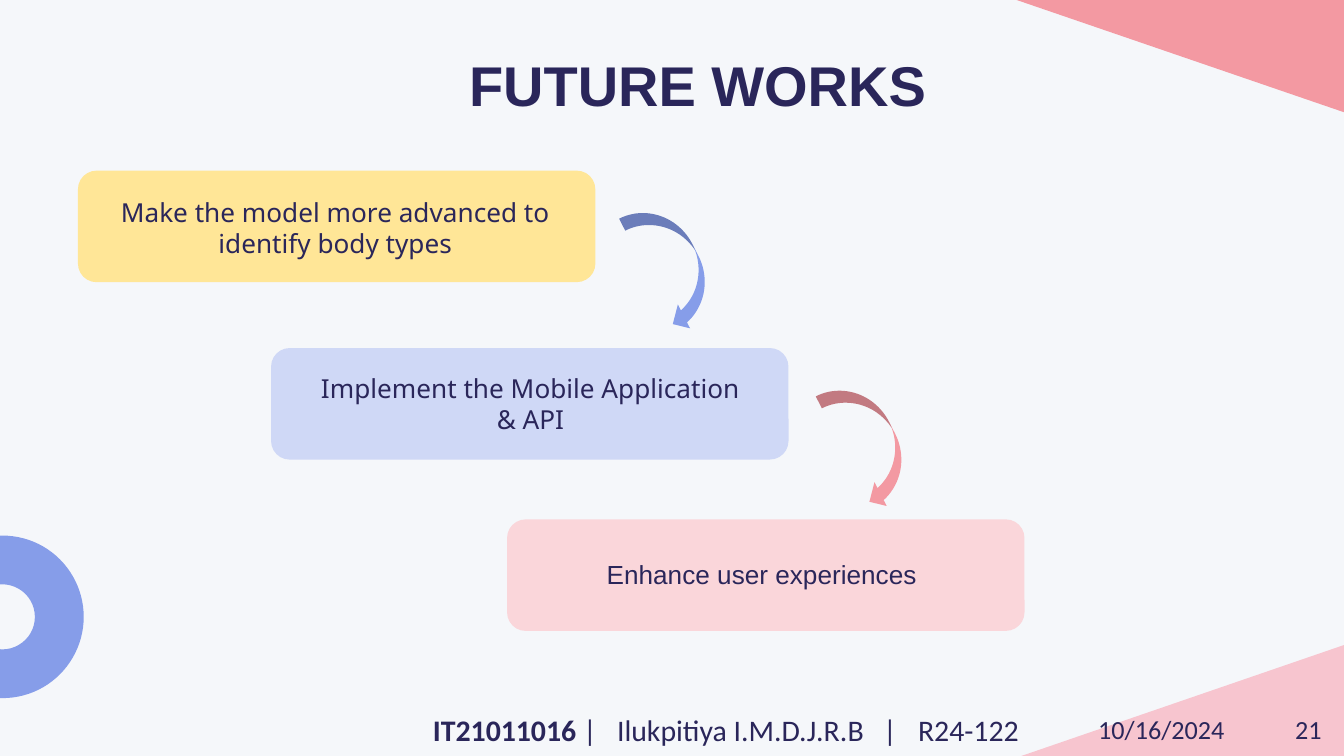
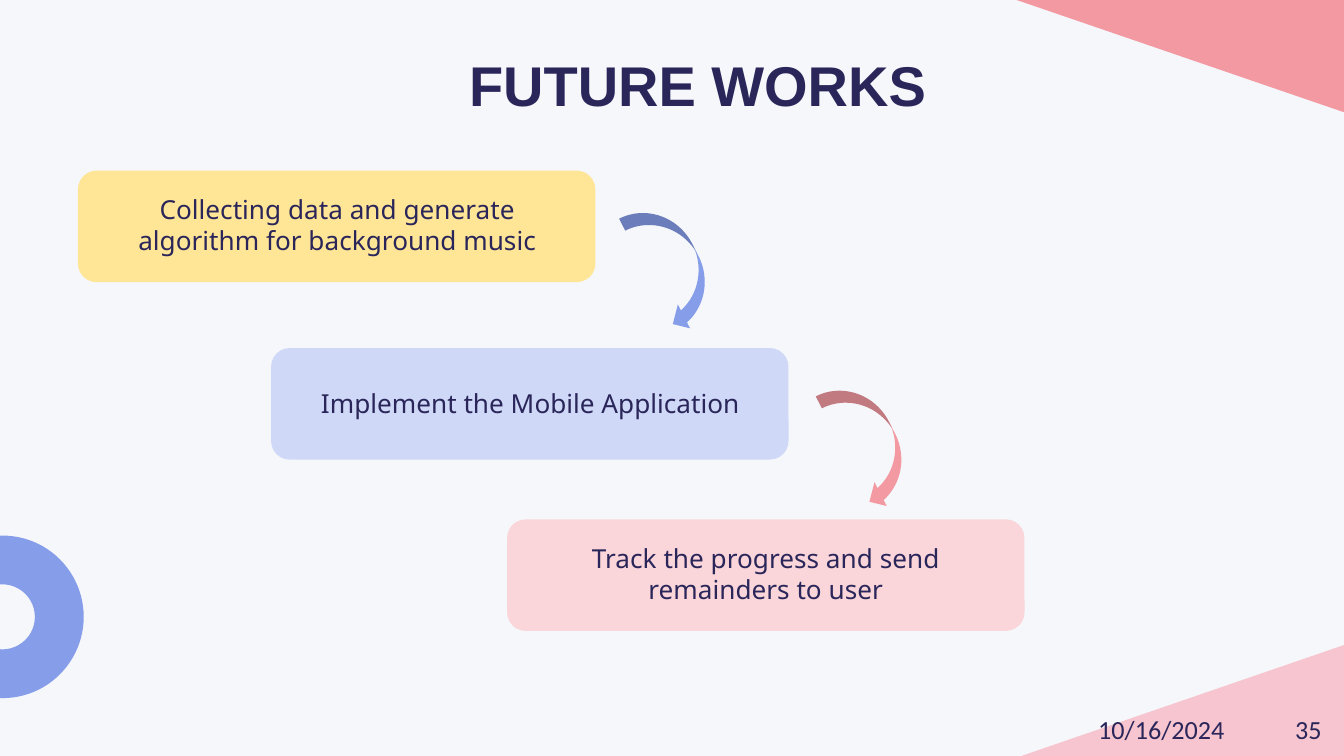
from dataclasses import dataclass

from lxml.etree import SubElement
from pptx import Presentation
from pptx.dml.color import RGBColor
from pptx.enum.shapes import MSO_SHAPE as SHAPE
from pptx.enum.text import MSO_ANCHOR as ANCHOR, MSO_AUTO_SIZE as AUTO, PP_ALIGN as ALIGN
from pptx.oxml.ns import qn
from pptx.util import Inches, Pt


@dataclass(frozen=True)
class Theme:
    paper: str = "F5F7FA"
    ink: str = "2A265A"
    blue: str = "869DE9"
    coral: str = "F399A2"
    rose: str = "F7C5CF"
    cards: tuple = ("FFE697", "CFD8F6", "FAD6DA")
    title_font: str = "Arial"
    card_font: str = "Noto Sans"
    footer_font: str = "Calibri"
    title_size: int = 30
    text_size: int = 14
    owner_size: int = 16


T = Theme()

# Square grid: 100 columns across the slide
WIDTH = Inches(10)
HEIGHT = WIDTH * 9 // 16
CELL = WIDTH // 100
COLS, ROWS = 100, HEIGHT / CELL

CARD_W, CARD_H = 38.5, 8.3
CARD_SPOTS = ((5.8, 12.7), (20.17, 25.9), (37.73, 38.65))
LABEL_HEIGHTS = {1: 3.4, 2: 5.7}
ARROW_SPOTS = ((45.17, 17.73), (59.8, 30.95))
ARROW_SIZE = (9.8, 4)
FOOTER_TOP, FOOTER_H = 52.25, 4
OWNER_TABS = (1.37, 3.35, 3.61)


def grid(*cells):
    return [round(c * CELL) for c in cells]


def paint(sp, color):
    sp.fill.solid()
    sp.fill.fore_color.rgb = RGBColor.from_string(color)
    sp.line.fill.background()
    sp.shadow.inherit = False
    return sp


def add_run(p, text, font, size, bold=False):
    r = p.add_run()
    r.text = text
    look = {"name": font, "size": Pt(size), "bold": bold}
    for key, value in look.items():
        setattr(r.font, key, value)
    r.font.color.rgb = RGBColor.from_string(T.ink)


def add_text(s, box, align, anchor=ANCHOR.MIDDLE):
    tf = s.shapes.add_textbox(*grid(*box)).text_frame
    tf.word_wrap = True
    tf.vertical_anchor = anchor
    p = tf.paragraphs[0]
    p.alignment = align
    return p


def add_triangle(s, points, color):
    start, *rest = [grid(*pt) for pt in points]
    outline = s.shapes.build_freeform(*start, scale=1.0)
    outline.add_line_segments(rest, close=True)
    return paint(outline.convert_to_shape(), color)


def decorate_layout(layout, s):
    """Draw the shared corners and ring, then hand them to the layout."""
    layout.background.fill.solid()
    layout.background.fill.fore_color.rgb = RGBColor.from_string(T.paper)
    ring = paint(s.shapes.add_shape(SHAPE.DONUT, *grid(-5.87, 39.85, 12.1, 12.1)), T.blue)
    ring.adjustments[0] = 0.3
    corners = (
        add_triangle(s, ((75.65, 0), (COLS, 0), (COLS, 8.35)), T.coral),
        add_triangle(s, ((76, ROWS), (COLS, 48), (COLS, ROWS)), T.rose),
    )
    for sp in (*corners, ring):
        layout.shapes.element.append(sp.element)


def add_title(s, text):
    title = s.shapes.title
    title.left, title.top, title.width, title.height = grid(33.9, 1.8, 42.2, 8)
    tf = title.text_frame
    frame = {"vertical_anchor": ANCHOR.BOTTOM, "auto_size": AUTO.NONE, "word_wrap": True}
    frame.update({f"margin_{side}": Inches(0.1) for side in ("left", "right", "top", "bottom")})
    for key, value in frame.items():
        setattr(tf, key, value)
    p = tf.paragraphs[0]
    p.alignment = ALIGN.LEFT
    add_run(p, text, T.title_font, T.title_size, bold=True)


def add_footer(s, date, number):
    for text, left, width, align in ((date, 79.77, 13.3, ALIGN.CENTER),
                                     (number, 94.93, 4.4, ALIGN.RIGHT)):
        p = add_text(s, (left, FOOTER_TOP, width, FOOTER_H), align)
        add_run(p, text, T.footer_font, T.text_size)


def add_owner(s, student, details):
    p = add_text(s, (31.23, FOOTER_TOP, 55.2, FOOTER_H), ALIGN.LEFT)
    tabs = SubElement(p._p.get_or_add_pPr(), qn("a:tabLst"))
    for stop in OWNER_TABS:
        SubElement(tabs, qn("a:tab"), pos=str(Inches(stop)), algn="l")
    add_run(p, student + " ", T.footer_font, T.owner_size, bold=True)
    add_run(p, "\t".join(details), T.footer_font, T.owner_size)


def add_card(s, spot, color, text, lines, label, font=T.card_font):
    """A rounded card; label is the left, top and width of its text on it."""
    x, y = spot
    left, top, width = label
    paint(s.shapes.add_shape(SHAPE.ROUNDED_RECTANGLE, *grid(x, y, CARD_W, CARD_H)), color)
    box = (x + left, y + top, width, LABEL_HEIGHTS[lines])
    p = add_text(s, box, ALIGN.CENTER, ANCHOR.TOP)
    add_run(p, text, font, T.text_size)


def add_steps(s, steps):
    """Staircase of cards, each joined to the next by a curved arrow."""
    for spot, color, step in zip(CARD_SPOTS, T.cards, steps):
        add_card(s, spot, color, *step)
    for spot, color in zip(ARROW_SPOTS, (T.blue, T.coral)):
        box = grid(*spot, *ARROW_SIZE)
        arrow = paint(s.shapes.add_shape(SHAPE.CURVED_DOWN_ARROW, *box), color)
        arrow.rotation = 63


def future_works(s, number, steps):
    add_title(s, "FUTURE WORKS")
    add_footer(s, "10/16/2024", number)
    add_steps(s, steps)


def main():
    prs = Presentation()
    prs.slide_width, prs.slide_height = WIDTH, HEIGHT
    layout = prs.slide_layouts[5]

    # Body-type model
    s = prs.slides.add_slide(layout)
    decorate_layout(layout, s)
    future_works(s, "21", (
        ("Make the model more advanced to identify body types", 2, (-0.1, 1.4, 38.5)),
        ("Implement the Mobile Application & API", 2, (2.1, 1.3, 34.4)),
        ("Enhance user experiences", 1, (4.2, 2.4, 29.5), T.title_font),
    ))
    add_owner(s, "IT21011016", ("|", "Ilukpitiya I.M.D.J.R.B", "|", "R24-122"))

    # Background music
    s = prs.slides.add_slide(layout)
    future_works(s, "35", (
        ("Collecting data and generate algorithm for background music", 2, (2.1, 1.2, 34.4)),
        ("Implement the Mobile Application", 1, (2.1, 2.4, 34.4)),
        ("Track the progress and send remainders to user", 2, (4.5, 1.2, 29.5)),
    ))

    prs.save("out.pptx")


if __name__ == "__main__":
    main()
